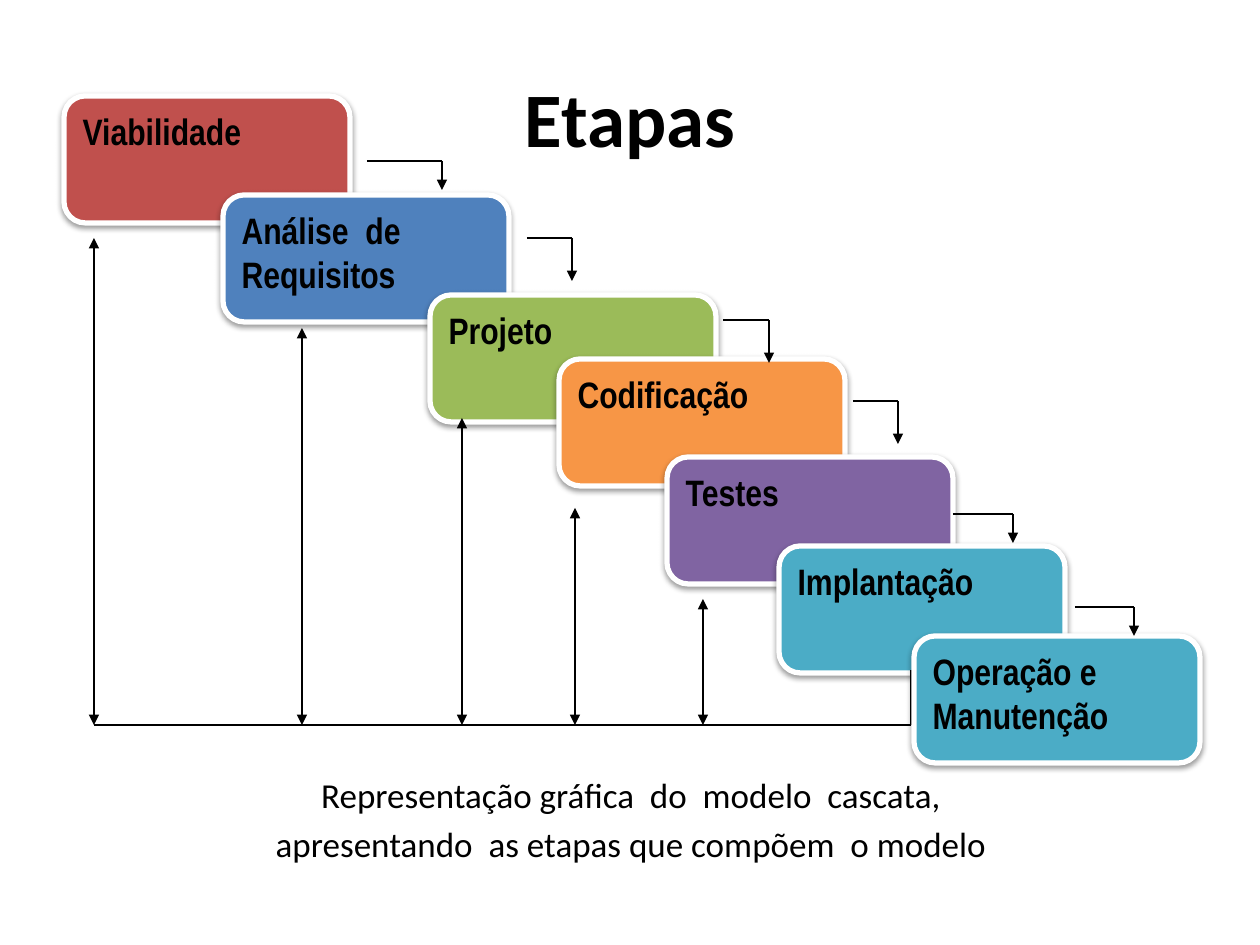
"""Builds the slide showing the stages of the waterfall model."""
from lxml import etree
from pptx import Presentation
from pptx import util as u
from pptx.dml.color import RGBColor
from pptx.enum import shapes, text
from pptx.oxml import parse_xml
from pptx.oxml.ns import nsdecls, qn

PX = 914400 / 126
BOX_W, BOX_H = 286, 127
BASE_Y = 725
STAGES = [
    ("Viabilidade", 64, 96, "C0504D"),
    ("Análise  de Requisitos", 223, 195, "4F81BD"),
    ("Projeto", 430, 295, "9BBB59"),
    ("Codificação", 559, 359, "F79646"),
    ("Testes", 667, 457, "8064A2"),
    ("Implantação", 779, 546, "4BACC6"),
    ("Operação e Manutenção", 914, 636, "4BACC6"),
]
STEPS = [
    (367, 161, 442, 190),
    (527, 238, 572, 281),
    (723, 320, 769, 363),
    (853, 401, 898, 444),
    (953, 514, 1013, 543),
    (1075, 607, 1134, 636),
]
RETURNS = [(94, 238), (302, 328), (462, 418), (575, 508), (703, 599)]


def px(n):
    return u.Emu(round(n * PX))


def color(value):
    return RGBColor.from_string(value)


class Deck:
    """Holds the style and the current slide."""
    ink = "000000"
    edge = "FFFFFF"
    body_font = "Calibri"
    box_font = "Arial Narrow"

    def __init__(self):
        self.prs = Presentation()
        self.prs.slide_width, self.prs.slide_height = px(1260), px(945)
        self.s = self.prs.slides.add_slide(self.prs.slide_layouts[6])

    def set_text(self, tf, lines, font, size, bold, align, before=0):
        tf.word_wrap = True
        for i, line in enumerate(lines):
            p = tf.add_paragraph() if i else tf.paragraphs[0]
            p.text = line
            p.alignment = align
            if i:
                p.space_before = u.Pt(before)
            p.font.name, p.font.size, p.font.bold = font, u.Pt(size), bold
            p.font.color.rgb = color(self.ink)

    def label(self, x, y, w, h, lines, size, bold=False, anchor=text.MSO_ANCHOR.TOP):
        tf = self.s.shapes.add_textbox(px(x), px(y), px(w), px(h)).text_frame
        tf.vertical_anchor = anchor
        self.set_text(tf, lines, self.body_font, size, bold, text.PP_ALIGN.CENTER, 4)

    def stage(self, name, x, y, fill):
        sp = self.s.shapes.add_shape(
            shapes.MSO_SHAPE.ROUNDED_RECTANGLE, px(x), px(y), px(BOX_W), px(BOX_H))
        sp.adjustments[0] = 0.167
        sp.fill.solid()
        sp.fill.fore_color.rgb = color(fill)
        sp.line.color.rgb = color(self.edge)
        sp.line.width = u.Pt(3)
        self.shade(sp)
        sp.text_frame.vertical_anchor = text.MSO_ANCHOR.TOP
        self.set_text(sp.text_frame, [name], self.box_font, 21, True, text.PP_ALIGN.LEFT)

    def shade(self, sp):
        sp.shadow.inherit = False
        effects = sp._element.spPr.find(qn("a:effectLst"))
        effects.append(parse_xml(
            f'<a:outerShdw {nsdecls("a")} blurRad="{u.Pt(3.1)}" dist="{u.Pt(1.6)}" '
            f'dir="5400000" rotWithShape="0"><a:srgbClr val="{self.ink}">'
            '<a:alpha val="38000"/></a:srgbClr></a:outerShdw>'))

    def line(self, x1, y1, x2, y2, *ends):
        c = self.s.shapes.add_connector(
            shapes.MSO_CONNECTOR.STRAIGHT, px(x1), px(y1), px(x2), px(y2))
        c.line.color.rgb = color(self.ink)
        c.line.width = u.Pt(0.75)
        for end in ends:
            etree.SubElement(c.line._get_or_add_ln(), qn(f"a:{end}"), type="triangle")
        etree.SubElement(c._element.spPr, qn("a:effectLst"))

    def step(self, x1, y1, x2, y2):
        self.line(x1, y1, x2, y1)
        self.line(x2, y1, x2, y2, "tailEnd")


def main():
    d = Deck()
    d.label(63, 38, 1134, 158, ["Etapas"], 44, True, text.MSO_ANCHOR.MIDDLE)
    d.label(64, 767, 1134, 178, ["Representação gráfica  do  modelo  cascata,",
                                 "apresentando  as etapas que compõem  o modelo"], 20)
    for stage in STAGES[:-1]:
        d.stage(*stage)
    d.line(911, 670, 911, BASE_Y)
    d.line(RETURNS[0][0], BASE_Y, 911, BASE_Y)
    for x, y in RETURNS:
        d.line(x, y, x, BASE_Y, "headEnd", "tailEnd")
    d.stage(*STAGES[-1])
    for step in STEPS:
        d.step(*step)
    d.prs.save("out.pptx")


if __name__ == "__main__":
    main()
